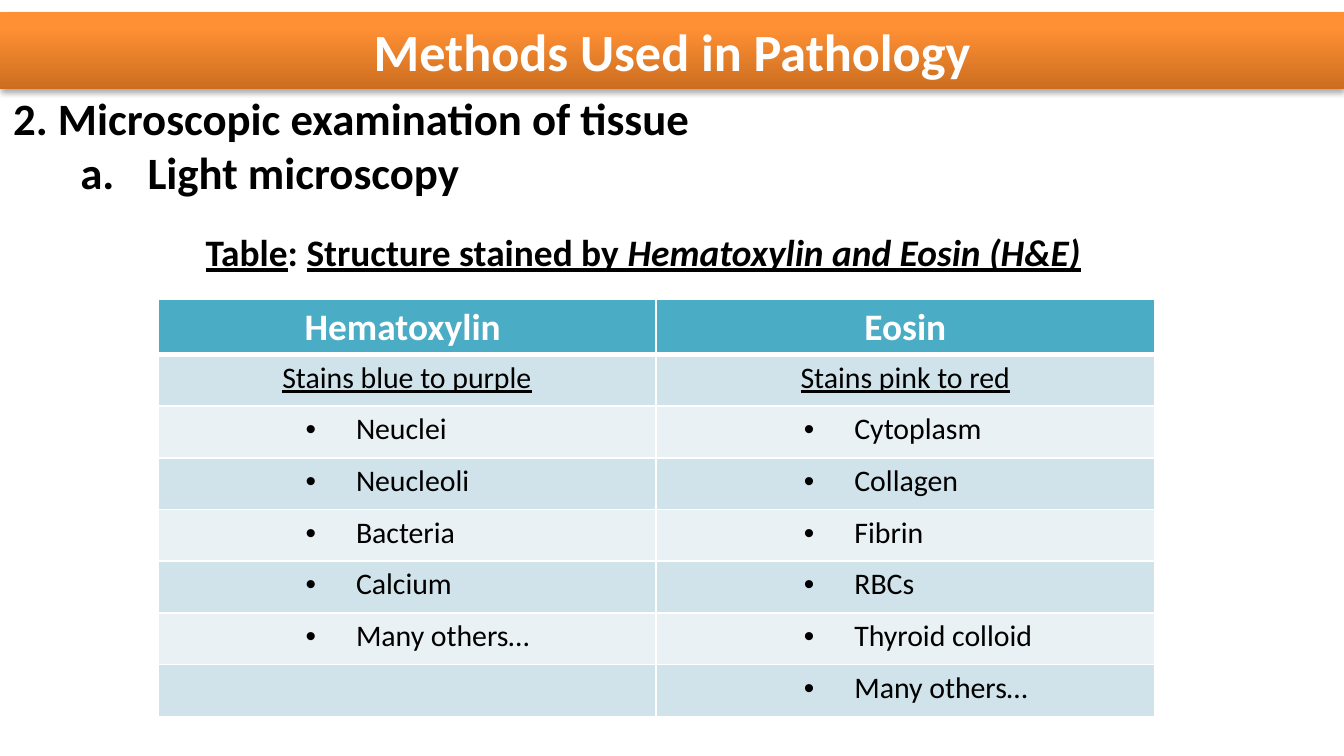
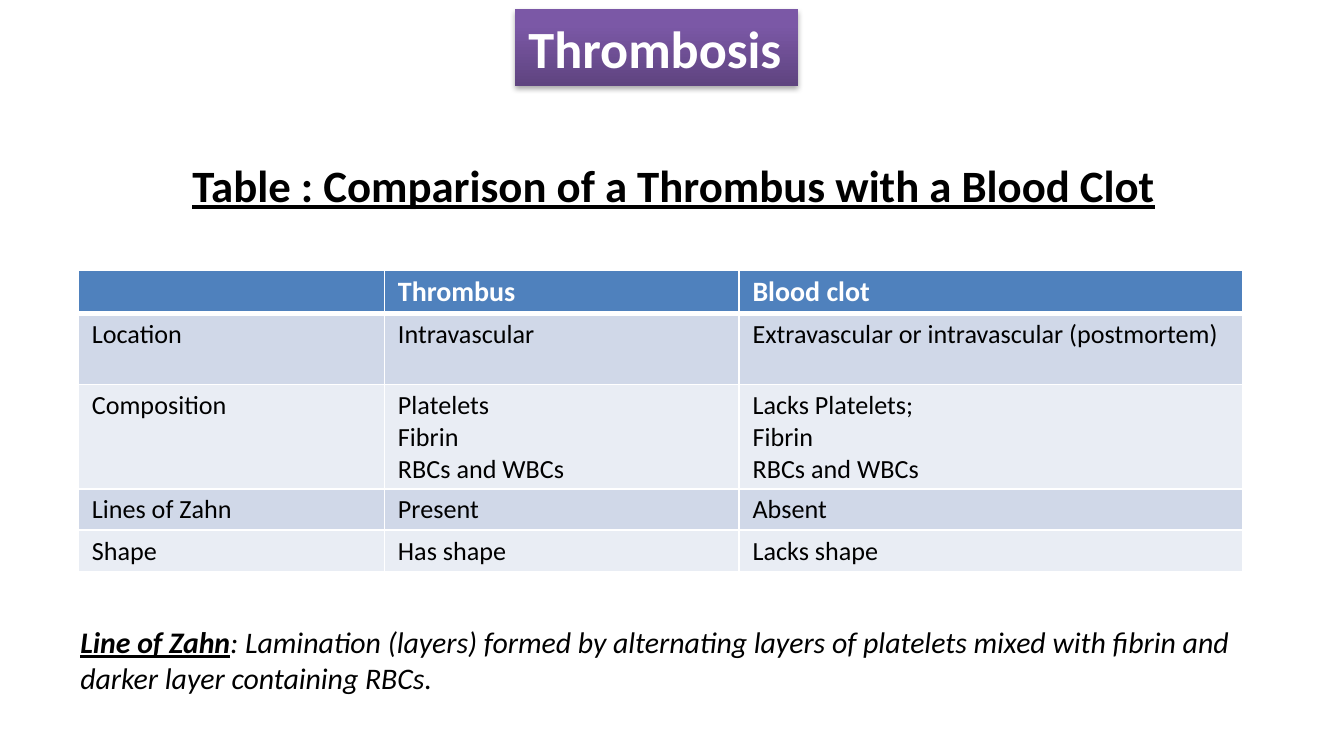
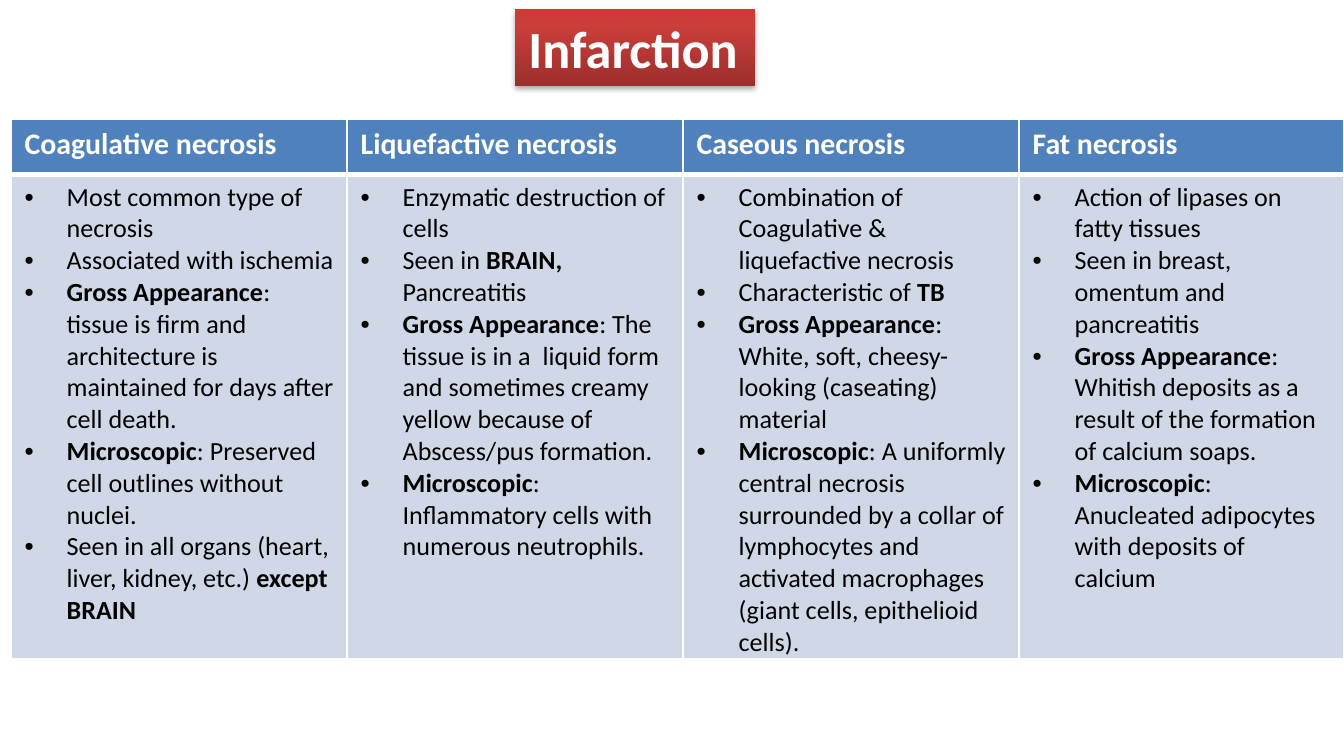
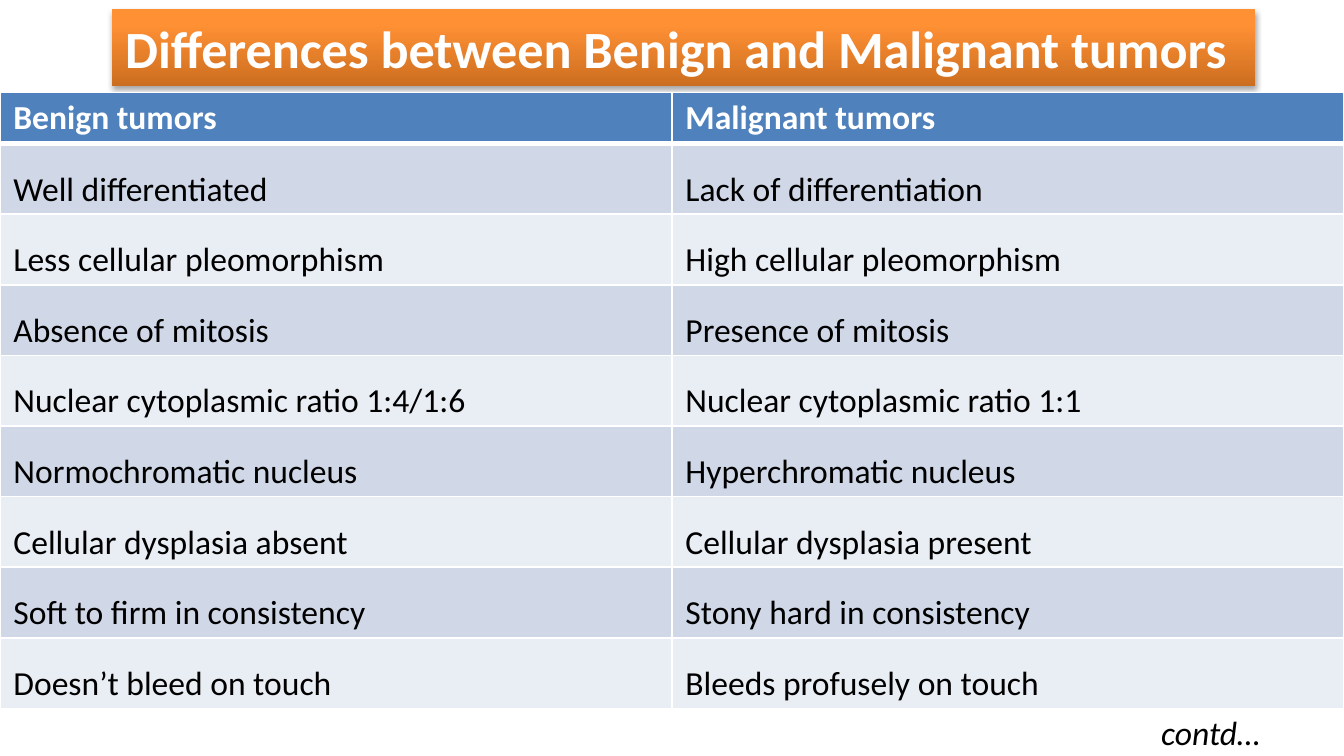
"""Build four pathology slides with gradient titles and banded tables."""
from copy import deepcopy

from lxml.etree import SubElement
from pptx import Presentation
from pptx.dml.color import RGBColor
from pptx.enum.shapes import MSO_SHAPE
from pptx.enum.text import MSO_AUTO_SIZE, PP_ALIGN
from pptx.oxml.ns import qn
from pptx.util import Pt

FONT = "Calibri"
WHITE = RGBColor(0xFF, 0xFF, 0xFF)
BLACK = RGBColor(0x00, 0x00, 0x00)
ORANGE = [RGBColor(0xCC, 0x6E, 0x20), RGBColor(0xFF, 0x90, 0x34), RGBColor(0xFF, 0x91, 0x36)]
PURPLE = [RGBColor(0x5F, 0x44, 0x80), RGBColor(0x7B, 0x58, 0xA6), RGBColor(0x7C, 0x57, 0xA8)]
RED = [RGBColor(0x9C, 0x2F, 0x2D), RGBColor(0xCB, 0x3E, 0x3A), RGBColor(0xCE, 0x3B, 0x37)]
TEAL_BANDS = [RGBColor(0x4B, 0xAC, 0xC6), RGBColor(0xD0, 0xE3, 0xEA), RGBColor(0xE9, 0xF1, 0xF5)]
BLUE_BANDS = [RGBColor(0x4F, 0x81, 0xBD), RGBColor(0xD0, 0xD8, 0xE8), RGBColor(0xE9, 0xED, 0xF4)]
GRADIENT_POSITIONS = (0, 0.8, 1)
MARKS = {"b": "bold", "i": "italic", "u": "underline"}
CENTRED = {"alignment": PP_ALIGN.CENTER}

STAINS = [
    ["Hematoxylin ", "Eosin"],
    ["Stains blue to purple", "Stains pink to red"],
    ["Neuclei", "Cytoplasm"],
    ["Neucleoli", "Collagen"],
    ["Bacteria", "Fibrin"],
    ["Calcium", "RBCs"],
    ["Many others…", "Thyroid colloid"],
    ["", "Many others…"],
]
STAIN_CAPTION = [[("Table", "bu"), (": ", "b"), ("Structure stained by ", "bu"),
                  ("Hematoxylin and Eosin (H&E)", "biu")]]

CLOT_COMPARISON = [
    ["", "Thrombus", "Blood clot"],
    ["Location", "Intravascular", "Extravascular or intravascular (postmortem)"],
    ["Composition", ["Platelets", "Fibrin", "RBCs and WBCs"],
     ["Lacks Platelets;", "Fibrin", "RBCs and WBCs"]],
    ["Lines of Zahn", "Present", "Absent"],
    ["Shape", "Has shape", "Lacks shape"],
]
ZAHN_NOTE = [[("Line of Zahn", "biu"),
              (": Lamination (layers) formed by alternating layers of platelets mixed "
               "with fibrin and darker layer containing RBCs.", "i")]]

GROSS = ("Gross Appearance", "b")
MICROSCOPIC = ("Microscopic", "b")
NECROSIS = [
    ["Coagulative necrosis", "Liquefactive necrosis", "Caseous necrosis", "Fat necrosis"],
    [
        ["Most common type of necrosis",
         "Associated with ischemia",
         [GROSS, (": tissue is firm and architecture is maintained for days after cell death.", "")],
         [MICROSCOPIC, (": Preserved cell outlines without nuclei.", "")],
         [("Seen in all organs (heart, liver, kidney, etc.) ", ""), ("except BRAIN", "b")]],
        ["Enzymatic destruction of cells",
         [("Seen in ", ""), ("BRAIN, ", "b"), ("Pancreatitis", "")],
         [GROSS, (": The tissue is in a  liquid form and sometimes creamy yellow "
                  "because of Abscess/pus formation.", "")],
         [MICROSCOPIC, (": Inflammatory cells with numerous neutrophils.", "")]],
        ["Combination of Coagulative & liquefactive necrosis",
         [("Characteristic of ", ""), ("TB", "b")],
         [GROSS, (": White, soft, cheesy-looking (caseating) material", "")],
         [MICROSCOPIC, (": A uniformly central necrosis surrounded by a collar of lymphocytes "
                        "and activated macrophages (giant cells, epithelioid cells).", "")]],
        ["Action of lipases on fatty tissues",
         "Seen in breast, omentum and pancreatitis",
         [GROSS, (": Whitish deposits as a result of the formation of calcium soaps.", "")],
         [MICROSCOPIC, (": Anucleated adipocytes with deposits of calcium", "")]],
    ],
]

TUMORS = [
    ["Benign tumors", "Malignant tumors"],
    ["Well differentiated", "Lack of differentiation"],
    ["Less cellular pleomorphism", "High cellular pleomorphism"],
    ["Absence of mitosis", "Presence of mitosis"],
    ["Nuclear cytoplasmic ratio 1:4/1:6", "Nuclear cytoplasmic ratio 1:1"],
    ["Normochromatic nucleus", "Hyperchromatic nucleus"],
    ["Cellular dysplasia absent", "Cellular dysplasia present"],
    ["Soft to firm in consistency", "Stony hard in consistency"],
    ["Doesn’t bleed on touch", "Bleeds profusely on touch"],
]


def text_style(size, marks="", color=BLACK, layout=None, bullet=None):
    """Return a style; bullet is (left margin, hanging indent, tag, attributes)."""
    return {"size": size, "marks": marks, "color": color, "layout": layout or {}, "bullet": bullet}


def dot(margin, hanging):
    """Return a round bullet with the given indents."""
    return margin, hanging, "a:buChar", {"char": "•"}


def add_bullet(paragraph, margin, hanging, tag, attributes):
    """Give a paragraph a bullet or an automatic number."""
    properties = paragraph._p.get_or_add_pPr()
    properties.set("marL", str(Pt(margin)))
    properties.set("indent", str(-Pt(hanging)))
    if tag == "a:buChar":
        SubElement(properties, qn("a:buFont"), typeface="Arial")
    SubElement(properties, qn(tag), attributes)


def write_paragraph(paragraph, content, style):
    """Write plain text or marked runs into a paragraph."""
    if not content:
        paragraph._p.get_or_add_endParaRPr().set("sz", str(style["size"] * 100))
        return
    if style["bullet"]:
        add_bullet(paragraph, *style["bullet"])
    for name, value in style["layout"].items():
        setattr(paragraph, name, value)
    runs = [(content, style["marks"])] if isinstance(content, str) else content
    for text, marks in runs:
        run = paragraph.add_run()
        run.text = text
        run.font.color.rgb = style["color"]
        values = {"name": FONT, "size": Pt(style["size"])}
        values.update({name: mark in marks for mark, name in MARKS.items()})
        for name, value in values.items():
            setattr(run.font, name, value)


def write_text(frame, content, *styles):
    """Write paragraphs; the last style serves all that remain."""
    paragraphs = [content] if isinstance(content, str) else content
    for index, item in enumerate(paragraphs):
        paragraph = frame.add_paragraph() if index else frame.paragraphs[0]
        write_paragraph(paragraph, item, styles[min(index, len(styles) - 1)])


def fit_frame(shape):
    """Wrap the text and let the shape follow its height."""
    shape.text_frame.word_wrap = True
    shape.text_frame.auto_size = MSO_AUTO_SIZE.SHAPE_TO_FIT_TEXT
    return shape.text_frame


def add_text(slide, box, content, *styles):
    """Add a text box at box, given in points."""
    shape = slide.shapes.add_textbox(*map(Pt, box))
    write_text(fit_frame(shape), content, *styles)


def add_title(slide, text, colors, left, width, top=5, alignment=PP_ALIGN.LEFT):
    """Add a title band with a vertical gradient and a soft shadow."""
    shape = slide.shapes.add_shape(MSO_SHAPE.RECTANGLE, Pt(left), Pt(top), Pt(width), Pt(41))
    shape.line.fill.background()
    shape.fill.gradient()
    shape.fill.gradient_angle = 90
    properties = shape._element.spPr
    stop_list = properties.find(".//" + qn("a:gsLst"))
    stop_list.append(deepcopy(stop_list[-1]))
    for stop, position, color in zip(shape.fill.gradient_stops, GRADIENT_POSITIONS, colors):
        stop.position = position
        stop.color.rgb = color
    effects = SubElement(properties, qn("a:effectLst"))
    shadow = SubElement(effects, qn("a:outerShdw"), blurRad=str(Pt(3.1)), dist=str(Pt(1.8)),
                        dir="5400000", rotWithShape="0")
    shadow_color = SubElement(shadow, qn("a:srgbClr"), val=str(BLACK))
    SubElement(shadow_color, qn("a:alpha"), val="35000")
    write_text(fit_frame(shape), text, text_style(28, "b", WHITE, {"alignment": alignment}))


def add_borders(cell, row_index):
    """Draw white cell borders, thicker under the header row."""
    widths = {"lnL": 1, "lnR": 1, "lnT": 3 if row_index == 1 else 1, "lnB": 1 if row_index else 3}
    for tag, width in widths.items():
        line = SubElement(cell._tc.get_or_add_tcPr(), qn("a:" + tag), w=str(Pt(width)))
        fill = SubElement(line, qn("a:solidFill"))
        SubElement(fill, qn("a:srgbClr"), val=str(WHITE))


def add_table(slide, left, top, widths, heights, rows, styles, bands, margin=2.7):
    """Add a banded table; the last row style serves all that remain."""
    frame = slide.shapes.add_table(len(rows), len(widths), Pt(left), Pt(top),
                                   Pt(sum(widths)), Pt(sum(heights)))
    table = frame.table
    for column, width in zip(table.columns, widths):
        column.width = Pt(width)
    for row_index, (row, height, contents) in enumerate(zip(table.rows, heights, rows)):
        row.height = Pt(height)
        band = bands[2 - row_index % 2] if row_index else bands[0]
        style = styles[min(row_index, len(styles) - 1)]
        for cell, content in zip(row.cells, contents):
            cell.margin_top = cell.margin_bottom = Pt(margin)
            add_borders(cell, row_index)
            cell.fill.solid()
            cell.fill.fore_color.rgb = band
            write_text(cell.text_frame, content, style)


def build_methods(slide):
    """Fill the slide on staining methods."""
    add_title(slide, "Methods Used in Pathology", ORANGE, 0, 720, 6.5, PP_ALIGN.CENTER)
    add_text(slide, (103, 119, 491, 31.5), STAIN_CAPTION, text_style(20))
    styles = [text_style(20, "b", WHITE, CENTRED), text_style(16, "u", layout=CENTRED),
              text_style(16, layout={"level": 2}, bullet=dot(99, 27))]
    add_table(slide, 84.5, 160.5, [267] * 2, [27.7] * len(STAINS), STAINS, styles, TEAL_BANDS)
    numbering = (72, 36, "a:buAutoNum", {"type": "alphaLcPeriod"})
    add_text(slide, (0, 45, 720, 65.5), ["2. Microscopic examination of tissue", "Light microscopy"],
             text_style(24, "b"), text_style(24, "b", layout={"level": 1}, bullet=numbering))


def build_thrombosis(slide):
    """Fill the slide comparing thrombus and clot."""
    add_text(slide, (96, 81, 540, 36), "Table : Comparison of a Thrombus with a Blood Clot",
             text_style(24, "bu"))
    add_title(slide, "Thrombosis", PURPLE, 276, 151.5)
    add_table(slide, 42, 144.5, [164, 190, 270], [23.5, 38, 55, 22, 22], CLOT_COMPARISON,
              [text_style(15, "b", WHITE), text_style(14)], BLUE_BANDS)
    add_text(slide, (36, 330.5, 648, 46), ZAHN_NOTE, text_style(16))


def build_infarction(slide):
    """Fill the slide on kinds of necrosis."""
    add_title(slide, "Infarction", RED, 276, 128.5)
    add_table(slide, 6, 64, [180, 180, 180, 174], [29.5, 259], NECROSIS,
              [text_style(16, "b", WHITE), text_style(14, bullet=dot(22.5, 22.5))],
              BLUE_BANDS, margin=3.6)


def build_tumors(slide):
    """Fill the slide comparing tumors."""
    add_title(slide, "Differences between Benign and Malignant tumors", ORANGE, 60, 612.5)
    add_table(slide, 0, 49.5, [360] * 2, [27.5] + [37.8] * (len(TUMORS) - 1), TUMORS,
              [text_style(18, "b", WHITE), text_style(18, layout={"line_spacing": 1.5})], BLUE_BANDS)
    add_text(slide, (615, 378, 70, 29), "contd…", text_style(18, "i"))


def main():
    """Create and save the presentation."""
    presentation = Presentation()
    presentation.slide_width, presentation.slide_height = Pt(720), Pt(405)
    for build in (build_methods, build_thrombosis, build_infarction, build_tumors):
        build(presentation.slides.add_slide(presentation.slide_layouts[6]))
    presentation.save("out.pptx")


if __name__ == "__main__":
    main()
